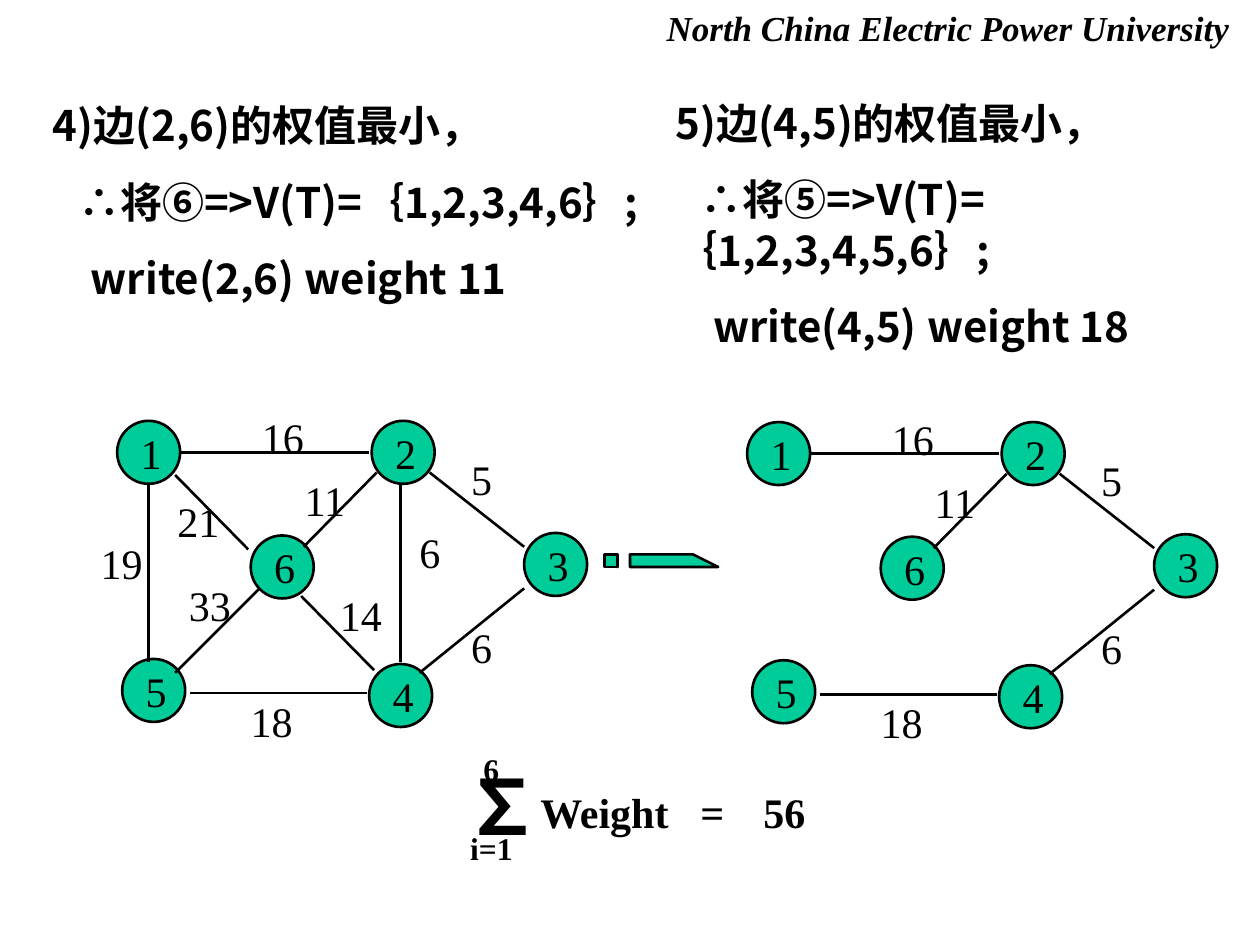
from lxml.etree import SubElement
from pptx import Presentation
from pptx.dml.color import RGBColor
from pptx.enum.shapes import MSO_CONNECTOR as CONN, MSO_SHAPE as SHAPE
from pptx.enum.text import MSO_ANCHOR as ANCHOR, MSO_AUTO_SIZE as AUTO, PP_ALIGN as ALIGN
from pptx.oxml.ns import qn
from pptx.util import Inches, Pt

BLACK = RGBColor(0x00, 0x00, 0x00)
GREEN = RGBColor(0x00, 0xCC, 0x99)
SERIF, CJK = "Times New Roman", "Noto Sans CJK SC"

# The slide is a grid of 100 columns by 75 rows; all lengths are in cells
CELL = Inches(0.1)
NODE = 5

NODES = {"1": (9.3, 33.4), "2": (29.5, 33.4), "3": (41.6, 42.3),
         "4": (29.3, 52.7), "5": (9.7, 52.3), "6": (19.9, 42.5)}

# Edge: start, end, weight, position of the weight
TREE_EDGES = [
    ((34.1, 37.5), (41.6, 43.4), "5", (36.4, 35.5)),
    ((33.3, 53.4), (41.6, 46.7), "6", (36.4, 48.8)),
    ((14.3, 35.9), (29.3, 35.9), "16", (19.8, 32.2)),
    ((15.1, 55.0), (29.1, 55.0), "18", (18.9, 54.7)),
    ((29.9, 37.5), (24.1, 43.4), "11", (23.2, 37.2)),
]
OTHER_EDGES = [
    ((11.8, 38.4), (11.8, 52.5), "19", (7.0, 42.2)),
    ((31.8, 38.4), (31.8, 52.5), "6", (32.3, 41.3)),
    ((13.9, 37.7), (19.7, 43.6), "21", (13.1, 38.8)),
    ((23.9, 47.3), (29.7, 53.2), "14", (26.0, 46.3)),
    ((20.6, 46.7), (13.9, 53.4), "33", (14.0, 45.5)),
]
TREE_SHIFT = (50, 0.1)


def cells(*values):
    return [round(v * CELL) for v in values]


def set_attrs(obj, **values):
    for name, value in values.items():
        setattr(obj, name, value)


def set_tabs(p, *stops):
    tabs = SubElement(p._p.get_or_add_pPr(), qn("a:tabLst"))
    for stop in cells(*stops):
        SubElement(tabs, qn("a:tab"), pos=str(stop), algn="l")


def write(p, text, size=24, font=SERIF, bold=False, italic=False):
    r = p.add_run()
    r.text = text
    set_attrs(r.font, size=Pt(size), name=font, bold=bold, italic=italic)
    r.font.color.rgb = BLACK
    ea = SubElement(r._r.get_or_add_rPr(), qn("a:ea"))
    ea.set("typeface", font)


def place(sp, left, top, width, height):
    for name, value in zip(("left", "top", "width", "height"),
                           cells(left, top, width, height)):
        setattr(sp, name, value)


def add_label(slide, text, box, align=ALIGN.LEFT, wrap=False, **font):
    tf = slide.shapes.add_textbox(*cells(*box)).text_frame
    tf.word_wrap = wrap
    p = tf.paragraphs[0]
    p.alignment = align
    write(p, text, **font)
    return p


def outline(sp):
    sp.shadow.inherit = False
    sp.fill.solid()
    sp.fill.fore_color.rgb = GREEN
    sp.line.color.rgb = BLACK
    sp.line.width = Pt(1.5)


def add_node(slide, name, x, y):
    sp = slide.shapes.add_shape(SHAPE.OVAL, *cells(x, y, NODE, NODE))
    outline(sp)
    tf = sp.text_frame
    set_attrs(tf, word_wrap=False, vertical_anchor=ANCHOR.MIDDLE,
              margin_left=Inches(0.04), margin_right=0, margin_top=0, margin_bottom=0)
    tf.paragraphs[0].alignment = ALIGN.CENTER
    write(tf.paragraphs[0], name)


def add_edge(slide, start, end):
    line = slide.shapes.add_connector(CONN.STRAIGHT, *cells(*start, *end))
    line.line.color.rgb = BLACK
    line.line.width = Pt(1.5)
    SubElement(line._element.spPr, qn("a:effectLst"))


def add_graph(slide, edges, dx=0, dy=0):
    def shift(point):
        return point[0] + dx, point[1] + dy

    for name, point in NODES.items():
        add_node(slide, name, *shift(point))
    for start, end, weight, spot in edges:
        add_edge(slide, shift(start), shift(end))
        width = 1.9 + 1.7 * len(weight)
        add_label(slide, weight, (*shift(spot), width, 5))


def fill_header(sp, text):
    place(sp, 51.9, 0, 46.7, 4.4)
    tf = sp.text_frame
    set_attrs(tf, word_wrap=False, vertical_anchor=ANCHOR.TOP, auto_size=AUTO.NONE)
    tf.paragraphs[0].alignment = ALIGN.LEFT
    write(tf.paragraphs[0], text, size=20, bold=True, italic=True)


def fill_step(sp, box, lines):
    place(sp, *box)
    tf = sp.text_frame
    set_attrs(tf, word_wrap=True, auto_size=AUTO.NONE, margin_left=Inches(1.1))
    for i, (text, indent) in enumerate(zip(lines, (0, 2, 3))):
        p = tf.add_paragraph() if i else tf.paragraphs[0]
        p.space_before = Pt(15 if i else 0)
        pPr = p._p.get_or_add_pPr()
        pPr.set("marL", "0")
        pPr.set("indent", str(cells(indent)[0]))
        SubElement(pPr, qn("a:buNone"))
        if "\t" in text:
            set_tabs(p, 21.4)
        write(p, text, font=CJK, bold=True)


def add_striped_arrow(slide):
    head = [(54.8, 44), (54.8, 44.4), (49.7, 44.4), (49.7, 45),
            (54.8, 45), (54.8, 45.3), (57, 44.7)]
    stripes = [[(a, 44.4), (a, 45), (b, 45), (b, 44.4)]
               for a, b in ((48.9, 49.4), (48.3, 48.6))]
    builder = slide.shapes.build_freeform(*head[0], scale=CELL)
    builder.add_line_segments(head[1:], close=True)
    for stripe in stripes:
        builder.move_to(*stripe[0])
        builder.add_line_segments(stripe[1:], close=True)
    outline(builder.convert_to_shape())


def add_total(slide):
    add_label(slide, "∑", (35.9, 59.7, 5.7, 8.4), ALIGN.CENTER, size=44, font=CJK, bold=True)
    for text, box in (("i=1", (34.4, 65.3, 9.2, 4)), ("6", (36.5, 59, 5, 4))):
        add_label(slide, text, box, ALIGN.CENTER, True, size=18, bold=True)
    p = add_label(slide, "Weight\t=\t56", (39.6, 61.9, 28.4, 5), wrap=True, bold=True)
    p._p.get_or_add_pPr().set("indent", str(cells(2.3)[0]))
    set_tabs(p, 16.5, 20.8)


def main():
    prs = Presentation()
    prs.slide_width, prs.slide_height = cells(100, 75)
    slide = prs.slides.add_slide(prs.slide_layouts[3])
    header, left, right = slide.placeholders

    # Header and the two steps
    fill_header(header, "North China Electric Power University")
    fill_step(left, (-6.8, 7.4, 66.7, 21.2),
              ["4)边(2,6)的权值最小，", "∴将⑥=>V(T)=｛1,2,3,4,6｝;",
               "write(2,6)\tweight 11"])
    fill_step(right, (42.6, 7.2, 60.2, 25.2),
              ["5)边(4,5)的权值最小，", "∴将⑤=>V(T)= ｛1,2,3,4,5,6｝;",
               "write(4,5)\tweight 18"])

    # Full graph, arrow and spanning tree
    add_graph(slide, TREE_EDGES + OTHER_EDGES)
    add_striped_arrow(slide)
    add_graph(slide, TREE_EDGES, *TREE_SHIFT)

    # Sum of weights
    add_total(slide)
    prs.save("out.pptx")


if __name__ == "__main__":
    main()
